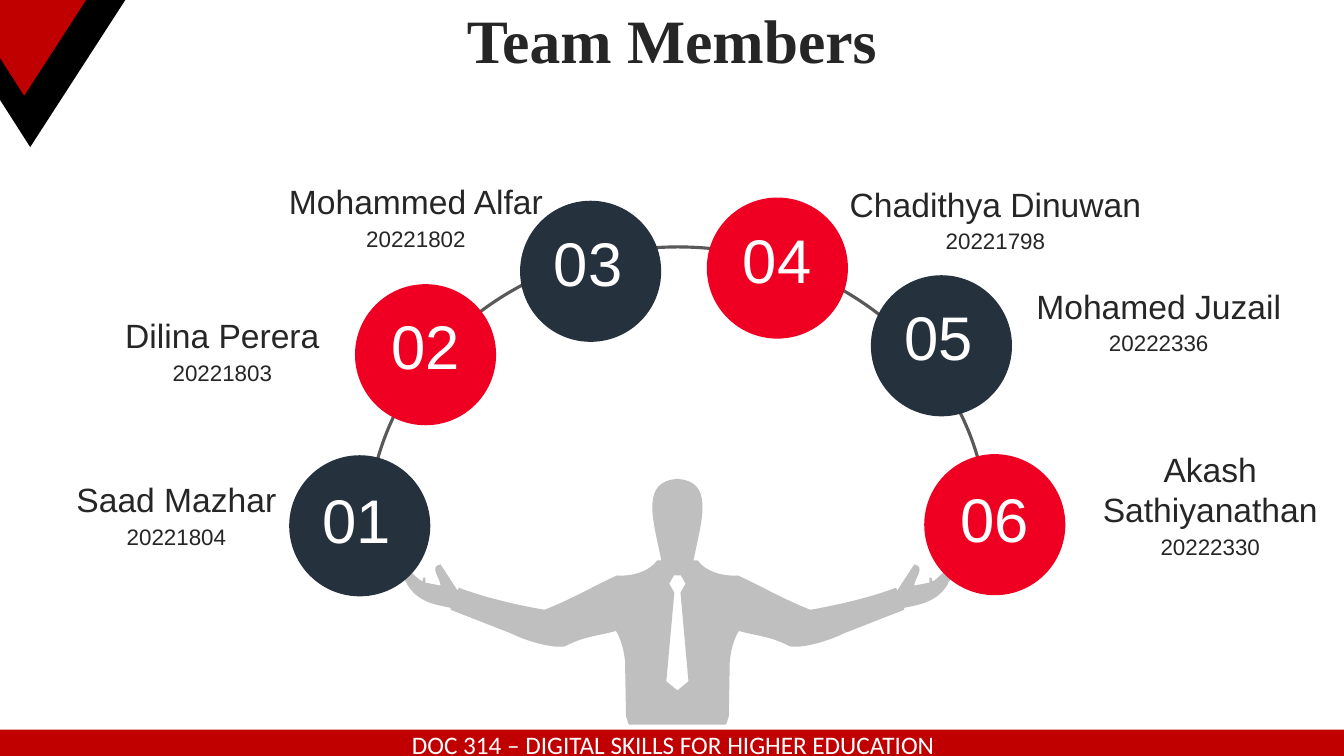
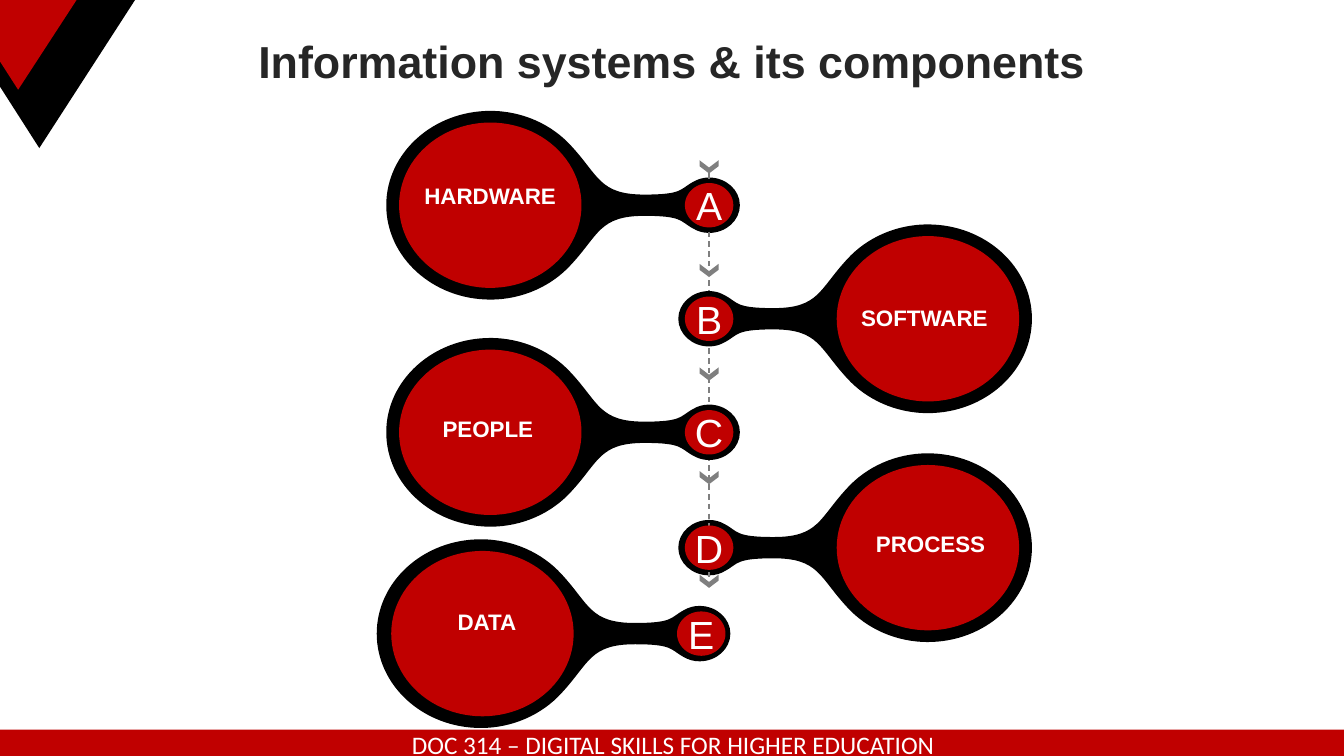
import pptx
import pptx.dml.color
import pptx.enum.dml
import pptx.enum.shapes
import pptx.enum.text
import pptx.oxml
import pptx.oxml.ns
import pptx.util

Pt = pptx.util.Pt
RGBColor = pptx.dml.color.RGBColor
MSO_SHAPE = pptx.enum.shapes.MSO_SHAPE
ALIGN = pptx.enum.text.PP_ALIGN
ANCHOR = pptx.enum.text.MSO_ANCHOR
qn = pptx.oxml.ns.qn

BLACK = RGBColor(0x00, 0x00, 0x00)
WHITE = RGBColor(0xFF, 0xFF, 0xFF)
RED = RGBColor(0xC0, 0x00, 0x00)
BRIGHT_RED = RGBColor(0xEF, 0x00, 0x23)
NAVY = RGBColor(0x25, 0x31, 0x3D)
INK = RGBColor(0x26, 0x26, 0x26)
ARC_GRAY = RGBColor(0x59, 0x59, 0x59)
SPINE_GRAY = RGBColor(0x7F, 0x7F, 0x7F)
FIGURE_GRAY = RGBColor(0xBF, 0xBF, 0xBF)

SLIDE_WIDTH, SLIDE_HEIGHT = 960, 540
FOOTER = "DOC 314 – DIGITAL SKILLS FOR HIGHER EDUCATION"

# name, id, circle (left, top), number (left, top), label (left, top, width)
MEMBERS = [
    ("Saad Mazhar", "20221804", (206.6, 325.2), (221, 340.4),
     (43.2, 338.6, 165.6)),
    ("Dilina Perera", "20221803", (253.6, 203), (270, 216.4),
     (76, 221.5, 165.6)),
    ("Mohammed Alfar", "20221802", (371.5, 143.4), (386.4, 157),
     (195.9, 126, 202.3)),
    ("Chadithya Dinuwan", "20221798", (504.9, 141.1), (521.3, 154.8),
     (594, 127.6, 234)),
    ("Mohamed Juzail", "20222336", (622.1, 196.6), (636.8, 210.2),
     (719.3, 200.7, 216.7)),
    ("Akash Sathiyanathan", "20222330", (660.2, 324.4), (676.5, 339.8),
     (761.2, 317, 206.6)),
]
CIRCLE = 100.8
NUMBER_SIZE = (67.7, 60.5)

# letter, name, small end of the link, side, shift of circles, label (left, top)
SPINE_X = 506.5
COMPONENTS = [
    ("A", "HARDWARE", (SPINE_X, 146.6), -1, 0, (303.1, 129.8)),
    ("B", "SOFTWARE", (SPINE_X, 227.7), 1, 0, (615.1, 217.4)),
    ("C", "PEOPLE", (SPINE_X, 308.8), -1, 0, (316.1, 296.6)),
    ("D", "PROCESS", (SPINE_X, 391.2), 1, 0, (625.7, 378.7)),
    ("E", "DATA", (499.7, 452.6), -1, 1.2, (326.9, 434.2)),
]
BEHIND_SPINE = "AD"
LARGE_OFFSET = 156.3
LARGE_SIZE = (130.3, 118.1)
LETTER_SIZE = (34.6, 31.7)

# Outlines: pairs are corners, sixes are cubic curves (two handles, end point)
CORNER = [(28.1, 105.8), (96.5, 0), (0, 0), (0, 61.9)]
CORNER_INNER = [(13, 64.1), (54.7, 0), (0, 0), (0, 43.9)]
CHEVRON = [(0, 5.2), (-6.8, 0), (-6.8, 4.3), (0, 9.4), (6.8, 4.3), (6.8, 0)]
DUMBBELL_HALF = [
    (-22, 0),
    (-22, -10.8, -12.2, -19.8, 0, -19.8),
    (4.3, -19.8, 7.9, -18.7, 11.5, -16.6),
    (20.9, -11.5, 18.7, -7.6, 46.1, -7.6),
    (78.5, -7.6, 78.5, -20.9, 98.6, -42.5),
    (112.3, -57.6, 133.2, -67.4, 156.2, -67.4),
    (197.3, -67.4, 230.6, -37.1, 230.6, 0),
]
BODY_HALF = [
    (0, 0), (4.3, 0.7),
    (25.9, 5, 16.6, 32.4, 11.5, 58.3), (14.4, 58.3),
    (20.2, 66.2, 31.7, 69.8, 43.2, 69.1),
    (60.5, 77, 77.8, 87.1, 95, 93.6),
    (115.9, 90, 139.7, 84.2, 156.2, 77.8), (157, 79.9), (169.2, 61.2),
    (177.8, 62.6, 169.2, 71.3, 169.2, 76.3),
    (180, 74.2), (180, 70.6), (181.4, 70.6), (182.2, 73.4),
    (186.5, 71.3, 190.8, 64.1, 194.4, 66.2),
    (202.3, 67, 193, 72.7, 193, 75.6),
    (185, 88.6, 172.1, 90, 162, 92.2), (162, 93.6), (119.5, 110.2),
    (106.6, 116.6, 87.1, 121.7, 79.9, 119.5),
    (66.2, 112.3, 56.2, 112.3, 43.9, 108.7),
    (40.3, 114.5, 38.2, 122.4, 37.4, 130.3), (36.7, 169.9),
    (35.3, 172.1, 36, 177.1, 32.4, 175.7), (0, 175.7),
]
TIE_HALF = [(2.5, 69.1), (5.8, 74.9), (2.2, 81.4), (7.9, 144.7), (0, 151.2)]


def scaled(outline, x_scale, y_scale):
    return [tuple(value * (y_scale if i % 2 else x_scale)
                  for i, value in enumerate(part)) for part in outline]


def mirrored(half, x_scale, y_scale):
    """Close a half outline with its reflection, walked backwards."""
    other = scaled(half, x_scale, y_scale)
    back = [part[2:4] + part[:2] + before[-2:] if len(part) == 6
            else before[-2:]
            for before, part in zip(other[-2::-1], other[:0:-1])]
    return half + back


def paint(shape, color):
    shape.shadow.inherit = False
    shape.fill.solid()
    shape.fill.fore_color.rgb = color
    shape.line.fill.background()


def bend(line, handles):
    """Turn a straight segment of a freeform into a cubic curve."""
    curve = line.makeelement(qn("a:cubicBezTo"), {})
    for x, y in handles:
        curve.append(line.makeelement(qn("a:pt"), {"x": str(x), "y": str(y)}))
    curve.append(line[0])
    line.getparent().replace(line, curve)


def add_outline(slide, origin, contours, color):
    def place(x, y):
        return Pt(origin[0] + x), Pt(origin[1] + y)

    builder = slide.shapes.build_freeform(*place(*contours[0][0]))
    for index, contour in enumerate(contours):
        if index:
            builder.move_to(*place(*contour[0]))
        builder.add_line_segments([place(*part[-2:]) for part in contour[1:]])
    shape = builder.convert_to_shape()
    paint(shape, color)
    lines = list(shape._element.iter(qn("a:lnTo")))
    parts = [part for contour in contours for part in contour[1:]]
    for line, part in zip(lines, parts):
        if len(part) == 6:
            handles = [place(*part[:2]), place(*part[2:4])]
            bend(line, [(x - shape.left, y - shape.top) for x, y in handles])


def add_corner(slide, origin, color, inner_color):
    add_outline(slide, origin, [CORNER], color)
    add_outline(slide, origin, [CORNER_INNER], inner_color)


def add_filled(slide, kind, box, color):
    shape = slide.shapes.add_shape(kind, *map(Pt, box))
    paint(shape, color)
    return shape


def add_centred_ellipse(slide, center, size, color):
    (x, y), (width, height) = center, size
    box = (x - width / 2, y - height / 2, width, height)
    return add_filled(slide, MSO_SHAPE.OVAL, box, color)


def style(paragraph, size, color, font="Arial", bold=False, align=ALIGN.CENTER):
    paragraph.alignment = align
    for run in paragraph.runs:
        run.font.name = font
        run.font.size = Pt(size)
        run.font.bold = bold
        run.font.color.rgb = color


def clear_margins(frame):
    frame.margin_left = frame.margin_right = Pt(0)
    frame.margin_top = frame.margin_bottom = Pt(0)


def write_inside(shape, text, size, font="Arial"):
    frame = shape.text_frame
    clear_margins(frame)
    frame.vertical_anchor = ANCHOR.MIDDLE
    frame.text = text
    style(frame.paragraphs[0], size, WHITE, font)


def add_text_frame(slide, box, text):
    frame = slide.shapes.add_textbox(*map(Pt, box)).text_frame
    frame.word_wrap = True
    frame.text = text
    return frame


def start_slide(deck, title, top, height, size, font):
    """Add a slide with its title and the footer band."""
    slide = deck.slides.add_slide(deck.slide_layouts[5])
    heading = slide.shapes.title
    heading.left, heading.top = Pt(0), Pt(top)
    heading.width, heading.height = Pt(SLIDE_WIDTH), Pt(height)
    frame = heading.text_frame
    frame.auto_size = pptx.enum.text.MSO_AUTO_SIZE.NONE
    frame.vertical_anchor = ANCHOR.MIDDLE
    frame.text = title
    frame.paragraphs[0].line_spacing = 0.9
    style(frame.paragraphs[0], size, INK, font, bold=True)
    band = add_filled(slide, MSO_SHAPE.RECTANGLE, (-6.5, 521.2, 974.9, 21.6), RED)
    write_inside(band, FOOTER, 18, "Calibri")
    return slide


def build_team(deck):
    slide = start_slide(deck, "Team Members", 1.4, 59, 44, "Times New Roman")
    add_corner(slide, (-6.5, -0.7), BLACK, BLACK)
    add_corner(slide, (-10.8, -37.4), RED, RED)

    arc = slide.shapes.add_shape(
        MSO_SHAPE.ARC, *map(Pt, (262.8, 176.4, 442.8, 403.2)))
    arc.shadow.inherit = False
    arc.fill.background()
    arc.adjustments[0], arc.adjustments[1] = 113.67, 210.02
    arc.line.color.rgb = ARC_GRAY
    arc.line.width = Pt(2.25)
    add_outline(slide, (483.9, 342),
                [mirrored(BODY_HALF, -1, 1), mirrored(TIE_HALF, -1, 1)],
                FIGURE_GRAY)

    for number, member in enumerate(MEMBERS, 1):
        name, student_id, corner, number_corner, label = member
        color = NAVY if number % 2 else BRIGHT_RED
        add_filled(slide, MSO_SHAPE.OVAL, (*corner, CIRCLE, CIRCLE), color)
        digits = add_text_frame(slide, (*number_corner, *NUMBER_SIZE),
                                f"{number:02}")
        style(digits.paragraphs[0], 44, WHITE)
        frame = add_text_frame(slide, (*label, 52.6), f"{name}\n{student_id}")
        name_line, id_line = frame.paragraphs
        style(name_line, 24, INK)
        style(id_line, 16, INK)
        id_line.space_before = Pt(2.4)


def add_spine(slide):
    spine = slide.shapes.add_connector(
        pptx.enum.shapes.MSO_CONNECTOR.STRAIGHT,
        Pt(SPINE_X), Pt(123.8), Pt(SPINE_X), Pt(416.2))
    spine.line.color.rgb = SPINE_GRAY
    spine.line.width = Pt(1)
    spine.line.dash_style = pptx.enum.dml.MSO_LINE.DASH
    spine._element.spPr.append(pptx.oxml.parse_xml(
        f"<a:effectLst {pptx.oxml.ns.nsdecls('a')}/>"))
    for step in range(5):
        add_outline(slide, (SPINE_X, 114.5 + 74 * step), [CHEVRON], SPINE_GRAY)


def add_links(slide, behind):
    dumbbell = mirrored(DUMBBELL_HALF, 1, -1)
    for letter, _, small_end, side, _, _ in COMPONENTS:
        if (letter in BEHIND_SPINE) == behind:
            add_outline(slide, small_end, [scaled(dumbbell, side, 1)], BLACK)


def build_components(deck):
    slide = start_slide(deck, "Information systems & its components",
                        20.2, 51.1, 32, "Arial")
    add_corner(slide, (0, 0), BLACK, RED)
    add_links(slide, behind=True)
    add_spine(slide)
    add_links(slide, behind=False)
    for letter, name, (x, y), side, shift, label in COMPONENTS:
        x += shift
        add_centred_ellipse(slide, (x + side * LARGE_OFFSET, y), LARGE_SIZE, RED)
        small = add_centred_ellipse(slide, (x, y), LETTER_SIZE, RED)
        write_inside(small, letter, 28)
        frame = add_text_frame(slide, (*label, 106, 52.6), name)
        clear_margins(frame)
        style(frame.paragraphs[0], 16, WHITE, bold=True, align=ALIGN.LEFT)


def main():
    deck = pptx.Presentation()
    deck.slide_width, deck.slide_height = Pt(SLIDE_WIDTH), Pt(SLIDE_HEIGHT)
    build_team(deck)
    build_components(deck)
    deck.save("out.pptx")


if __name__ == "__main__":
    main()
